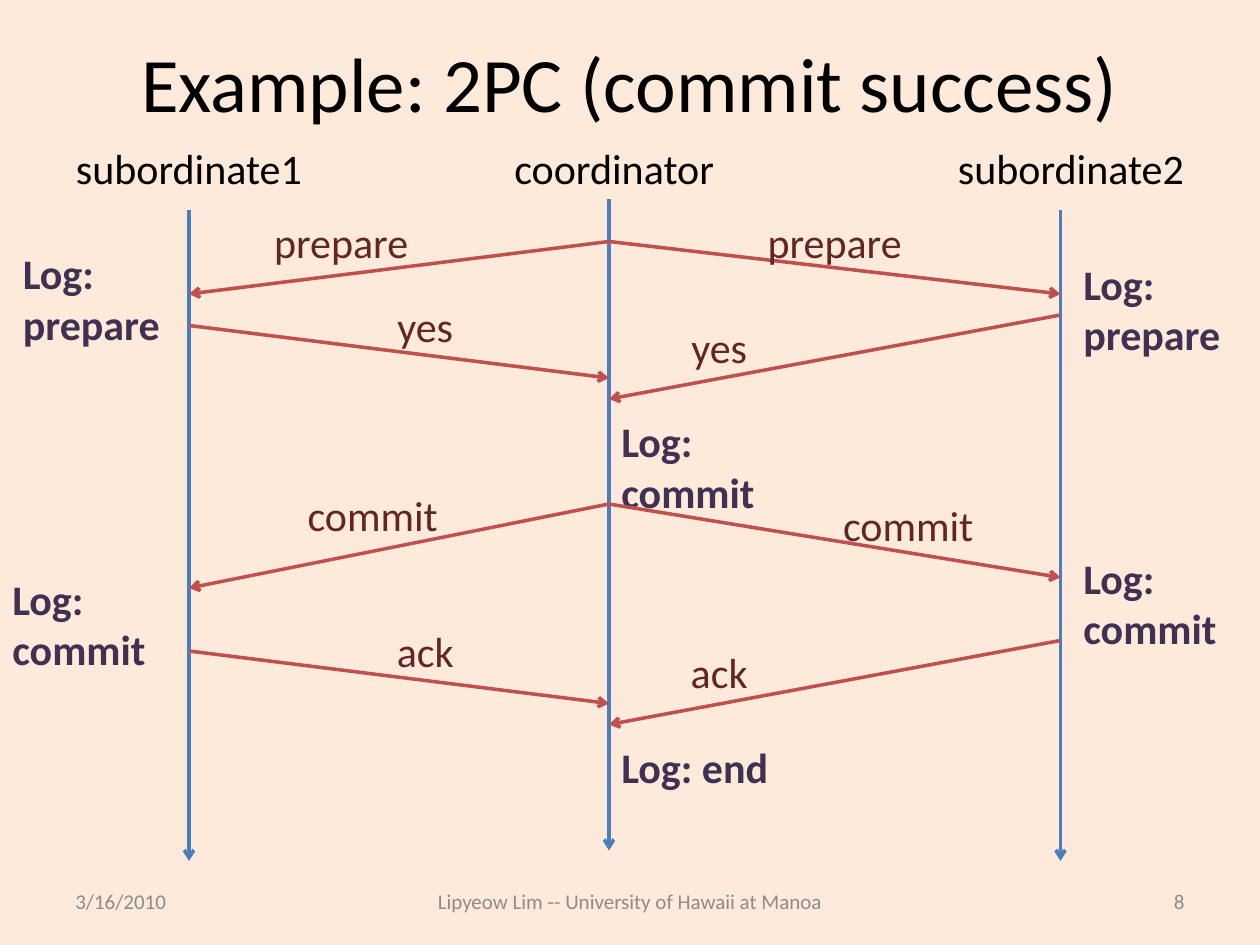
from lxml.etree import SubElement
from pptx import Presentation
from pptx.dml.color import RGBColor
from pptx.enum.shapes import MSO_CONNECTOR
from pptx.enum.text import MSO_ANCHOR, PP_ALIGN
from pptx.oxml.ns import qn
from pptx.util import Inches, Pt

CREAM = RGBColor(0xFD, 0xEA, 0xDA)
BLACK = RGBColor(0, 0, 0)
GRAY = RGBColor(0x8C, 0x8C, 0x8C)
BLUE = RGBColor(0x4B, 0x7E, 0xBC)
RED = RGBColor(0xC0, 0x50, 0x4D)
MAROON = RGBColor(0x63, 0x25, 0x23)
PURPLE = RGBColor(0x40, 0x31, 0x52)
FONT = "Calibri"
CELL = 1 / 12

TITLE = "Example: 2PC (commit success)"
SUB1, COORD, SUB2 = 18, 58, 101
# name, lifeline column, top row, bottom row, label column, label width
ROLES = [
    ("subordinate1", SUB1, 20, 82, 5, 26),
    ("coordinator", COORD, 19, 81, 47, 23),
    ("subordinate2", SUB2, 20, 82, 89, 26),
]
# text, from column and row, to column and row, label column and row
MESSAGES = [
    ("prepare", COORD, 23, SUB1, 28, 23, 20),
    ("prepare", COORD, 23, SUB2, 28, 70, 20),
    ("yes", SUB1, 31, COORD, 36, 31, 28),
    ("yes", SUB2, 30, COORD, 38, 59, 30),
    ("ack", SUB1, 62, COORD, 67, 31, 59),
    ("ack", SUB2, 61, COORD, 69, 59, 61),
    ("commit", COORD, 48, SUB1, 56, 26, 46),
    ("commit", COORD, 48, SUB2, 55, 77, 47),
]
# text, column, row, rows tall
LOGS = [
    ("Log: prepare", 102, 24, 11),
    ("Log: prepare", 1, 23, 11),
    ("Log: commit", 58, 39, 11),
    ("Log: commit", 102, 52, 11),
    ("Log: commit", 0, 54, 11),
    ("Log: end", 58, 70, 6),
]
FOOTER = [
    ("3/16/2010", 0.5, 2.33, PP_ALIGN.LEFT),
    ("Lipyeow Lim -- University of Hawaii at Manoa", 3, 4, PP_ALIGN.CENTER),
    ("8", 7.17, 2.33, PP_ALIGN.RIGHT),
]


def grid(*cells):
    return [Inches(c * CELL) for c in cells]


def style(tf, text, size, color, align, bold=False):
    tf.word_wrap = True
    p = tf.paragraphs[0]
    p.text = text
    p.alignment = align
    p.font.name, p.font.size, p.font.bold = FONT, Pt(size), bold
    p.font.color.rgb = color


def add_text(shapes, box, text, color, align=PP_ALIGN.CENTER, size=24, bold=False):
    tf = shapes.add_textbox(*box).text_frame
    style(tf, text, size, color, align, bold)
    return tf


def add_arrow(shapes, ends, color):
    c = shapes.add_connector(MSO_CONNECTOR.STRAIGHT, *ends)
    c.line.color.rgb = color
    c.line.width = Pt(2)
    SubElement(c.line._get_or_add_ln(), qn("a:tailEnd"), type="arrow")
    SubElement(c._element.spPr, qn("a:effectLst"))


def main():
    """Build the two-phase commit sequence slide."""
    prs = Presentation()
    prs.slide_width, prs.slide_height = Inches(10), Inches(7.5)
    s = prs.slides.add_slide(prs.slide_layouts[5])
    s.background.fill.solid()
    s.background.fill.fore_color.rgb = CREAM

    title = s.shapes.title
    title.left, title.top = Inches(0.5), Inches(0.3)
    title.width, title.height = Inches(9), Inches(0.7)
    title.text_frame.vertical_anchor = MSO_ANCHOR.MIDDLE
    style(title.text_frame, TITLE, 44, BLACK, PP_ALIGN.CENTER)

    for text, left, width, align in FOOTER:
        box = [Inches(v) for v in (left, 6.95, width, 0.4)]
        tf = add_text(s.shapes, box, text, GRAY, align, 12)
        tf.vertical_anchor = MSO_ANCHOR.MIDDLE

    for name, x, top, bottom, left, width in ROLES:
        add_arrow(s.shapes, grid(x, top, x, bottom), BLUE)
        add_text(s.shapes, grid(left, 13, width, 6), name, BLACK)

    for text, col, row, rows in LOGS:
        add_text(s.shapes, grid(col, row, 18, rows), text, PURPLE, PP_ALIGN.LEFT, bold=True)

    for text, x1, y1, x2, y2, col, row in MESSAGES:
        group = s.shapes.add_group_shape()
        add_arrow(group.shapes, grid(x1, y1, x2, y2), RED)
        add_text(group.shapes, grid(col, row, 19, 6), text, MAROON)

    prs.save("out.pptx")


if __name__ == "__main__":
    main()
